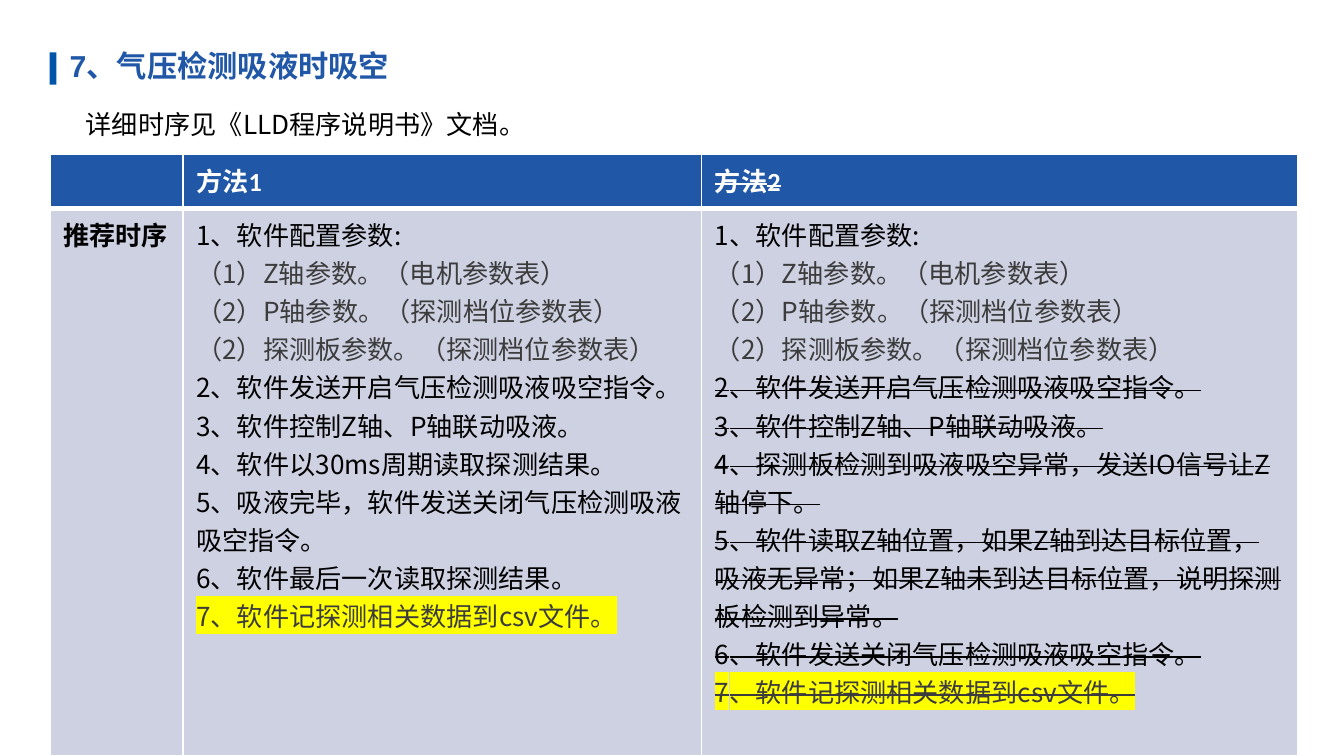
"""Build the slide on detecting empty aspiration by air pressure."""
from lxml import etree
from pptx import Presentation
from pptx import util as u
from pptx.dml import color as dml
from pptx.enum import shapes, text
from pptx.oxml import ns

THEME = {
    "blue": "2057A6", "bar": "0055A8", "pale": "CDD1E1", "white": "FFFFFF",
    "black": "000000", "grey": "3C3C3C", "yellow": "FFFF00",
    "cjk": "Noto Sans CJK SC", "title_size": 16.2, "body_size": 14,
    "rule": 1, "header_rule": 3,
}

TITLE = [("7、", "title_number"), ("气压检测吸液时吸空", "title")]
INTRO = "详细时序见《LLD程序说明书》文档。"
SETTINGS = [
    ("1、软件配置参数:", "body"),
    ("（1）Z轴参数。（电机参数表）", "detail"),
    ("（2）P轴参数。（探测档位参数表）", "detail"),
    ("（2）探测板参数。（探测档位参数表）", "detail"),
]
START = "2、软件发送开启气压检测吸液吸空指令。"
MOVE = "3、软件控制Z轴、P轴联动吸液。"
RECORD = "7、软件记探测相关数据到csv文件。"
METHOD_1 = [
    START,
    MOVE,
    "4、软件以30ms周期读取探测结果。",
    "5、吸液完毕，软件发送关闭气压检测吸液吸空指令。",
    "6、软件最后一次读取探测结果。",
]
METHOD_2 = [
    START,
    MOVE,
    "4、探测板检测到吸液吸空异常，发送IO信号让Z轴停下。",
    "5、软件读取Z轴位置，如果Z轴到达目标位置，吸液无异常；"
    "如果Z轴未到达目标位置，说明探测板检测到异常。",
    "6、软件发送关闭气压检测吸液吸空指令。",
]
ROWS = [
    [[], [("方法1", "header")], [("方法2", "header_struck")]],
    [
        [("推荐时序", "row_label")],
        SETTINGS + [(step, "body") for step in METHOD_1] + [(RECORD, "marked")],
        SETTINGS + [(step, "struck") for step in METHOD_2] + [(RECORD, "marked_struck")],
    ],
]

BODY = {"size": THEME["body_size"], "name": THEME["cjk"], "color": THEME["black"], "bold": False}
HEADER = BODY | {"name": "Calibri", "color": THEME["white"], "bold": True}
HEADING = BODY | {"size": THEME["title_size"], "color": THEME["blue"], "bold": True}
DETAIL = BODY | {"color": THEME["grey"]}
MARKED = DETAIL | {"highlight": THEME["yellow"]}
STRUCK = {"strike": True}
STYLES = {
    "title": HEADING, "title_number": HEADING | {"name": "Arial"},
    "body": BODY, "struck": BODY | STRUCK, "detail": DETAIL,
    "marked": MARKED, "marked_struck": MARKED | STRUCK,
    "header": HEADER, "header_struck": HEADER | STRUCK,
    "row_label": BODY | {"bold": True},
}

WIDTH = 10
HEIGHT = WIDTH * 9 / 16
LEFT, TABLE_TOP = 0.37, 1.15
COLUMNS = [0.99, 3.86, 4.44]
HEADER_HEIGHT = 0.4
ROW_HEIGHTS = [HEADER_HEIGHT, HEIGHT - TABLE_TOP - HEADER_HEIGHT]


def rgb(value):
    return dml.RGBColor.from_string(value)


def inches(*lengths):
    return [u.Inches(length) for length in lengths]


def add_run(paragraph, content, style):
    run = paragraph.add_run()
    run.text = content
    values = STYLES[style]
    formats = {"size": u.Pt(values["size"]), "bold": values["bold"], "name": values["name"]}
    for attribute, value in formats.items():
        setattr(run.font, attribute, value)
    run.font.color.rgb = rgb(values["color"])
    properties = run.font._element
    latin = properties.find(ns.qn("a:latin"))
    east_asian = etree.Element(ns.qn("a:ea"), typeface=THEME["cjk"])
    latin.addnext(east_asian)
    if values.get("strike"):
        properties.set("strike", "sngStrike")
    if "highlight" in values:
        highlight = etree.Element(ns.qn("a:highlight"))
        etree.SubElement(highlight, ns.qn("a:srgbClr"), val=values["highlight"])
        latin.addprevious(highlight)


def add_text(slide, box, runs, anchor, indent=0):
    frame = slide.shapes.add_textbox(*inches(*box)).text_frame
    for attribute, value in {"word_wrap": True, "vertical_anchor": anchor}.items():
        setattr(frame, attribute, value)
    paragraph = frame.paragraphs[0]
    paragraph._p.get_or_add_pPr().set("marL", str(u.Inches(indent)))
    for content, style in runs:
        add_run(paragraph, content, style)


def set_borders(cell, bottom):
    properties = cell._tc.get_or_add_tcPr()
    widths = {"lnL": THEME["rule"], "lnR": THEME["rule"], "lnT": THEME["rule"], "lnB": bottom}
    for position, (side, width) in enumerate(widths.items()):
        line = etree.Element(ns.qn(f"a:{side}"), w=str(u.Pt(width)))
        fill = etree.SubElement(line, ns.qn("a:solidFill"))
        etree.SubElement(fill, ns.qn("a:srgbClr"), val=THEME["white"])
        properties.insert(position, line)


def fill_cell(cell, lines, fill, bottom):
    cell.fill.solid()
    cell.fill.fore_color.rgb = rgb(fill)
    set_borders(cell, bottom)
    frame = cell.text_frame
    for index, (content, style) in enumerate(lines):
        paragraph = frame.add_paragraph() if index else frame.paragraphs[0]
        add_run(paragraph, content, style)


def add_method_table(slide):
    box = inches(LEFT, TABLE_TOP, sum(COLUMNS), sum(ROW_HEIGHTS))
    table = slide.shapes.add_table(len(ROWS), len(COLUMNS), *box).table
    for column, width in zip(table.columns, COLUMNS):
        column.width = u.Inches(width)
    fills = [THEME["blue"], THEME["pale"]]
    rules = [THEME["header_rule"], THEME["rule"]]
    for row, height, cells, fill, rule in zip(table.rows, ROW_HEIGHTS, ROWS, fills, rules):
        row.height = u.Inches(height)
        for cell, lines in zip(row.cells, cells):
            fill_cell(cell, lines, fill, rule)


def add_title_bar(slide):
    bar = slide.shapes.add_shape(shapes.MSO_SHAPE.RECTANGLE, *inches(LEFT, 0.39, 0.05, 0.24))
    bar.shadow.inherit = False
    bar.fill.solid()
    bar.fill.fore_color.rgb = rgb(THEME["bar"])
    bar.line.fill.background()


def main():
    presentation = Presentation()
    presentation.slide_width, presentation.slide_height = inches(WIDTH, HEIGHT)
    slide = presentation.slides.add_slide(presentation.slide_layouts[6])
    add_title_bar(slide)
    add_text(slide, (LEFT + 0.05, 0.3, 4.59, 0.38), TITLE, text.MSO_ANCHOR.MIDDLE)
    add_method_table(slide)
    add_text(slide, (LEFT, 0.76, sum(COLUMNS), 0.3), [(INTRO, "body")], text.MSO_ANCHOR.TOP, 0.17)
    presentation.save("out.pptx")


if __name__ == "__main__":
    main()
